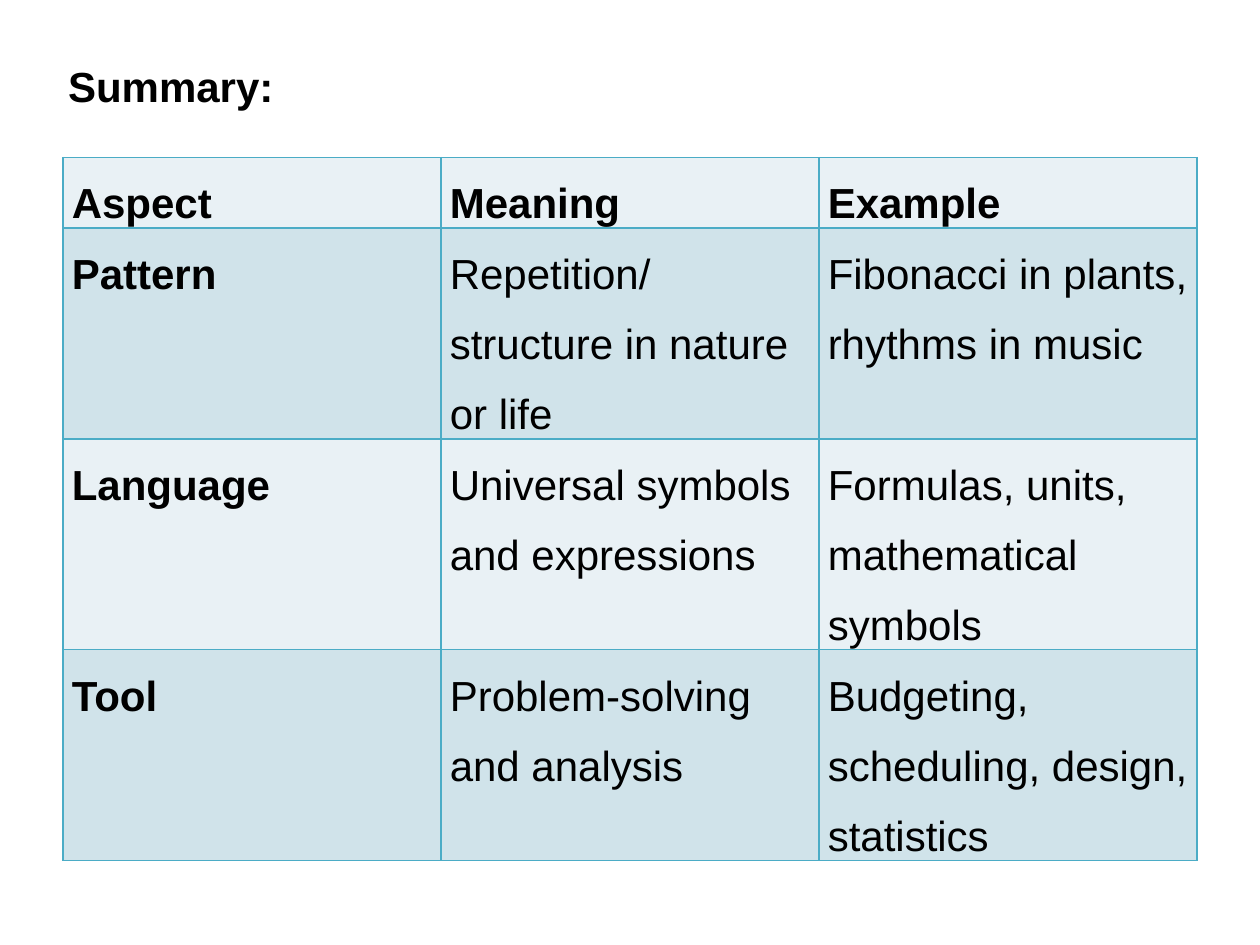
from lxml import etree
from pptx import Presentation
from pptx.dml.color import RGBColor
from pptx.enum.text import MSO_ANCHOR, PP_ALIGN
from pptx.oxml.ns import qn
from pptx.util import Inches, Pt

LEFT = PP_ALIGN.LEFT
MIDDLE = MSO_ANCHOR.MIDDLE
HEX = {"text": "000000", "light": "E9F1F5", "dark": "D0E3EA", "line": "4BACC6"}
FONT = {"name": "Arial", "size": Pt(24)}
INSETS = {"margin_left": Inches(0.07), "margin_right": Inches(0.07),
          "margin_top": 0, "margin_bottom": 0}
SPACING = {"alignment": LEFT, "line_spacing": 1.5, "space_after": Pt(10)}
ROWS = [
    ("Aspect", "Meaning", "Example"),
    ("Pattern", "Repetition/structure in nature or life",
     "Fibonacci in plants, rhythms in music"),
    ("Language", "Universal symbols and expressions",
     "Formulas, units, mathematical symbols"),
    ("Tool", "Problem-solving and analysis",
     "Budgeting, scheduling, design, statistics"),
]
HEIGHTS = [0.56, 1.67, 1.67, 1.67]


def style(para, bold):
    for key, value in FONT.items():
        setattr(para.font, key, value)
    para.font.bold = bold
    para.font.color.rgb = RGBColor.from_string(HEX["text"])


def border(cell):
    props = cell._tc.get_or_add_tcPr()
    for side in ("lnL", "lnR", "lnT", "lnB"):
        line = etree.SubElement(props, qn(f"a:{side}"), w=str(Pt(1)))
        fill = etree.SubElement(line, qn("a:solidFill"))
        etree.SubElement(fill, qn("a:srgbClr"), val=HEX["line"])


prs = Presentation()
prs.slide_width, prs.slide_height = Inches(10), Inches(7.5)
slide = prs.slides.add_slide(prs.slide_layouts[5])

# Title
title = slide.shapes.title
title.left, title.top = Inches(0.44), Inches(0.43)
title.width, title.height = Inches(8.42), Inches(0.5)
title.text_frame.text = "Summary:"
title.text_frame.vertical_anchor = MIDDLE
title.text_frame.paragraphs[0].alignment = LEFT
style(title.text_frame.paragraphs[0], True)

# Summary table
table = slide.shapes.add_table(
    len(ROWS), 3, Inches(0.5), Inches(1.25), Inches(9), Inches(sum(HEIGHTS))
).table
for row, height in zip(table.rows, HEIGHTS):
    row.height = Inches(height)

# Cells: banded rows, bold header row and first column
for r, texts in enumerate(ROWS):
    for c, text in enumerate(texts):
        cell = table.cell(r, c)
        cell.text = text
        for key, value in INSETS.items():
            setattr(cell, key, value)
        border(cell)
        cell.fill.solid()
        cell.fill.fore_color.rgb = RGBColor.from_string(
            HEX["dark" if r % 2 else "light"])
        para = cell.text_frame.paragraphs[0]
        for key, value in SPACING.items():
            setattr(para, key, value)
        style(para, r == 0 or c == 0)

prs.save("out.pptx")
